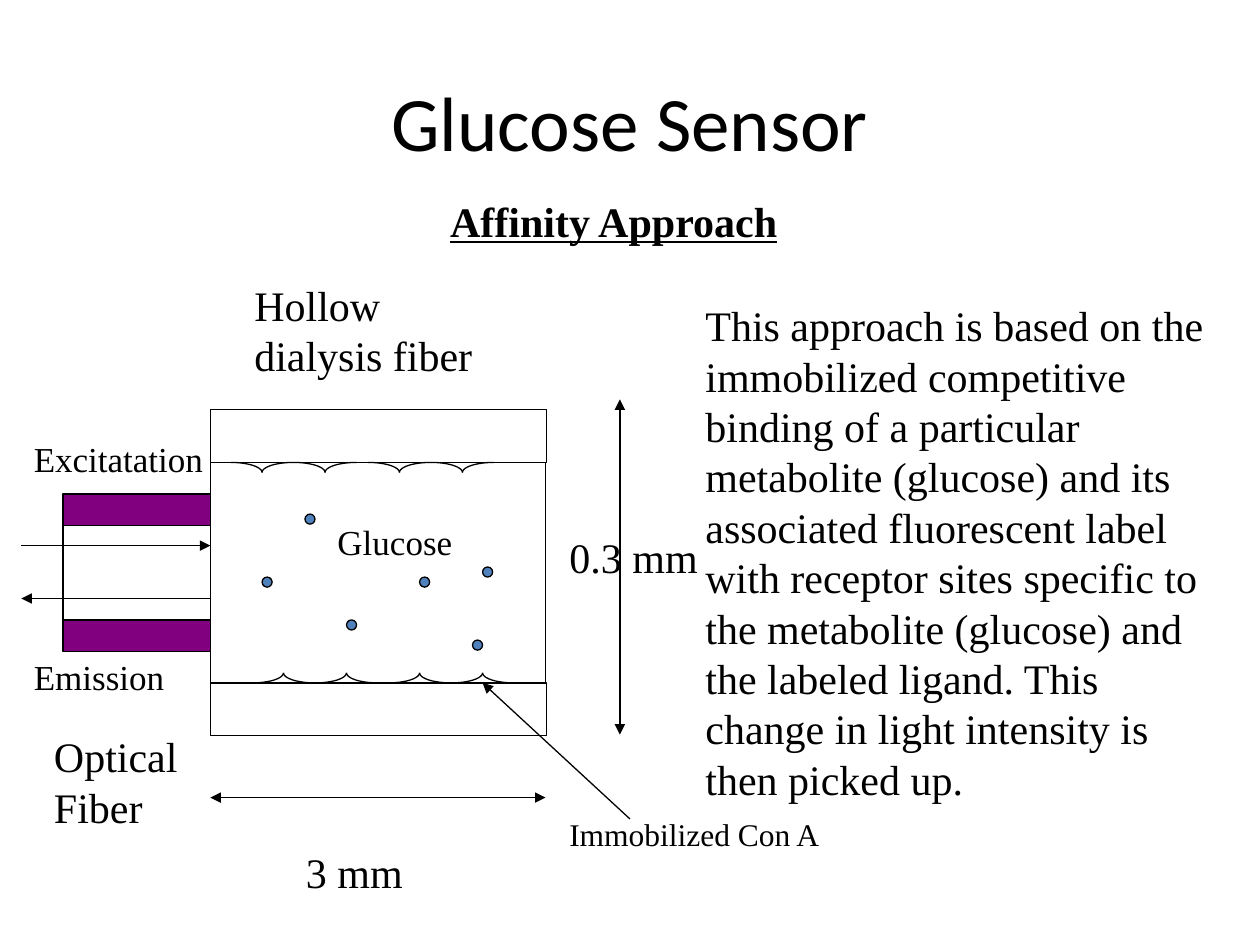
from math import cos, pi, sin

from lxml.etree import SubElement
from pptx import Presentation
from pptx.dml.color import RGBColor
from pptx.enum.shapes import MSO_CONNECTOR, MSO_SHAPE
from pptx.enum.text import MSO_ANCHOR, PP_ALIGN
from pptx.oxml.ns import qn
from pptx.util import Inches, Pt

COLORS = {"ink": "000000", "cladding": "800080", "glucose": "4F81BD"}
BODY_FONT = "Times New Roman"
LINE_WIDTH = Pt(0.75)

TUBE_LEFT, TUBE_RIGHT = 1.67, 4.33
TUBE_WIDTH, WALL_HEIGHT = 2.67, 0.42
UPPER_WALL, LOWER_WALL = 3.25, 5.42
INNER_TOP = 3.67
FIBER_LEFT, FIBER_WIDTH = 0.5, 1.17
RECEPTOR_WIDTH, RECEPTOR_HEIGHT = 0.25, 0.08
GLUCOSE_SIZE = 0.08

UPPER_RECEPTORS = [2.08, 2.58, 3.17, 3.67]
LOWER_RECEPTORS = [2.25, 2.75, 3.33, 3.83]
GLUCOSE_SPOTS = [(3.83, 4.5), (2.42, 4.08), (3.75, 5.08),
                 (3.33, 4.58), (2.08, 4.58), (2.75, 4.92)]

APPROACH = (
    "This approach is based on the immobilized competitive binding of a "
    "particular metabolite (glucose) and its associated fluorescent label "
    "with receptor sites specific to the metabolite (glucose) and the labeled "
    "ligand. This change in light intensity is then picked up."
)
# text, left, top, width, height, size
LABELS = [
    (APPROACH, 5.5, 2.33, 4.25, 4.1, 24),
    ("3 mm", 2.33, 6.67, 1.25, 0.5, 24),
    ("0.3 mm", 4.42, 4.17, 1.25, 0.5, 24),
    ("Hollow dialysis fiber", 1.92, 2.17, 2.17, 0.9, 24),
    ("Immobilized Con A", 4.42, 6.42, 3.17, 0.4, 18),
    ("Excitatation", 0.17, 3.42, 1.67, 0.44, 20),
    ("Emission", 0.17, 5.15, 1.67, 0.44, 20),
    ("Optical Fiber", 0.33, 5.75, 1.25, 0.9, 24),
    ("Glucose", 2.58, 4.08, 1.67, 0.44, 20),
]


def color(name):
    return RGBColor.from_string(COLORS[name])


def add_text(slide, text, left, top, width, height, size, font=BODY_FONT,
             align=PP_ALIGN.LEFT, anchor=MSO_ANCHOR.TOP, emphasis=None):
    box = slide.shapes.add_textbox(Inches(left), Inches(top), Inches(width), Inches(height))
    frame = box.text_frame
    frame.word_wrap = True
    frame.vertical_anchor = anchor
    paragraph = frame.paragraphs[0]
    paragraph.alignment = align
    run = paragraph.add_run()
    run.text = text
    run.font.name = font
    run.font.size = Pt(size)
    run.font.bold = emphasis
    run.font.underline = emphasis
    run.font.color.rgb = color("ink")


def style_shape(shape, fill=None):
    shape.shadow.inherit = False
    if fill:
        shape.fill.solid()
        shape.fill.fore_color.rgb = color(fill)
    else:
        shape.fill.background()
    shape.line.color.rgb = color("ink")
    shape.line.width = LINE_WIDTH


def add_shape(slide, kind, left, top, width, height, fill=None):
    shape = slide.shapes.add_shape(
        kind, Inches(left), Inches(top), Inches(width), Inches(height))
    style_shape(shape, fill)


def add_line(slide, start, end, arrows=()):
    """Draw a line; arrows holds "headEnd" (at start) and/or "tailEnd" (at end)."""
    connector = slide.shapes.add_connector(
        MSO_CONNECTOR.STRAIGHT, *(Inches(value) for value in (*start, *end)))
    connector.line.color.rgb = color("ink")
    connector.line.width = LINE_WIDTH
    outline = connector.line._get_or_add_ln()
    for arrow in arrows:
        SubElement(outline, qn(f"a:{arrow}"), type="triangle")
    SubElement(connector._element.spPr, qn("a:effectLst"))


def add_receptor_arc(slide, tip, wall, side, direction, steps=12):
    """Draw a quarter ellipse from the wall to the receptor's tip."""
    center_x = tip + side * RECEPTOR_WIDTH
    center_y = wall + direction * RECEPTOR_HEIGHT
    angles = [pi / 2 * step / steps for step in range(steps + 1)]
    points = [(Inches(center_x - side * RECEPTOR_WIDTH * sin(angle)),
               Inches(center_y - direction * RECEPTOR_HEIGHT * cos(angle)))
              for angle in angles]
    builder = slide.shapes.build_freeform(*points[0])
    builder.add_line_segments(points[1:], close=False)
    style_shape(builder.convert_to_shape())


def add_receptors(slide, tips, wall, direction):
    for tip in tips:
        for side in (-1, 1):
            add_receptor_arc(slide, tip, wall, side, direction)


def add_sensor(slide):
    rectangle = MSO_SHAPE.RECTANGLE
    for top in (UPPER_WALL, LOWER_WALL):
        add_shape(slide, rectangle, TUBE_LEFT, top, TUBE_WIDTH, WALL_HEIGHT)
    for top, height, fill in [(3.92, 0.25, "cladding"), (4.17, 0.75, None),
                              (4.92, 0.25, "cladding")]:
        add_shape(slide, rectangle, FIBER_LEFT, top, FIBER_WIDTH, height, fill)
    for x in (TUBE_LEFT, TUBE_RIGHT):
        add_line(slide, (x, INNER_TOP), (x, LOWER_WALL))
    for left, top in GLUCOSE_SPOTS:
        add_shape(slide, MSO_SHAPE.OVAL, left, top, GLUCOSE_SIZE, GLUCOSE_SIZE, "glucose")
    add_receptors(slide, UPPER_RECEPTORS, INNER_TOP, 1)
    add_receptors(slide, LOWER_RECEPTORS, LOWER_WALL, -1)


def add_arrows(slide):
    both_ends = ("headEnd", "tailEnd")
    add_line(slide, (TUBE_LEFT, 6.33), (TUBE_RIGHT, 6.33), both_ends)
    add_line(slide, (4.92, 5.83), (4.92, 3.17), both_ends)
    add_line(slide, (5, 6.5), (LOWER_RECEPTORS[-1], LOWER_WALL), ("tailEnd",))
    add_line(slide, (0.17, 4.33), (TUBE_LEFT, 4.33), ("tailEnd",))
    add_line(slide, (TUBE_LEFT, 4.75), (0.17, 4.75), ("tailEnd",))


def main():
    presentation = Presentation()
    presentation.slide_width = Inches(10)
    presentation.slide_height = Inches(7.5)
    slide = presentation.slides.add_slide(presentation.slide_layouts[6])

    add_text(slide, "Glucose Sensor", 0.75, 0.33, 8.5, 1.25, 44, font="Calibri",
             align=PP_ALIGN.CENTER, anchor=MSO_ANCHOR.MIDDLE)
    add_text(slide, "Affinity Approach", 2.58, 1.5, 4.58, 0.5, 24,
             align=PP_ALIGN.CENTER, emphasis=True)
    add_sensor(slide)
    add_arrows(slide)
    for label in LABELS:
        add_text(slide, *label)

    presentation.save("out.pptx")


if __name__ == "__main__":
    main()
